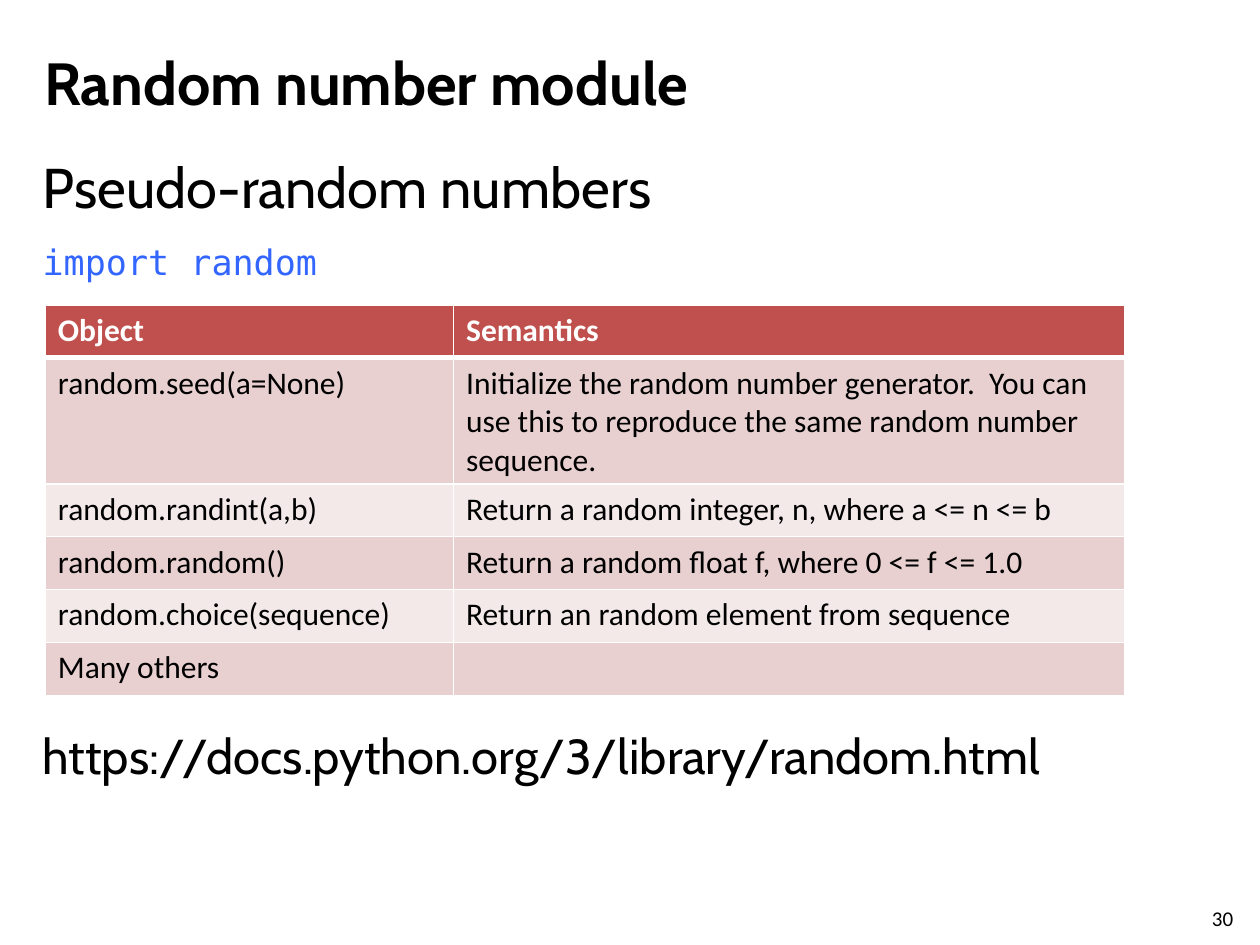
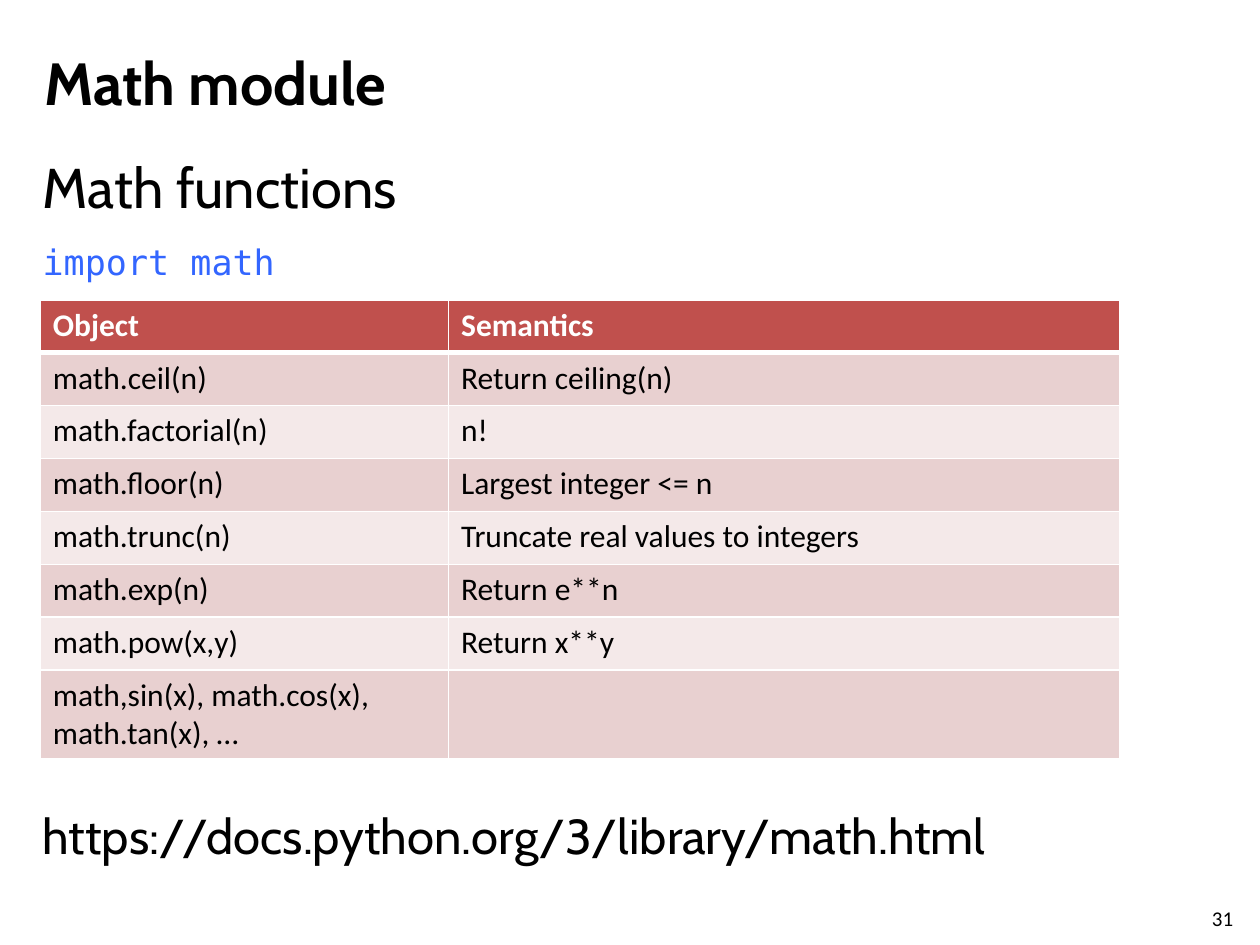
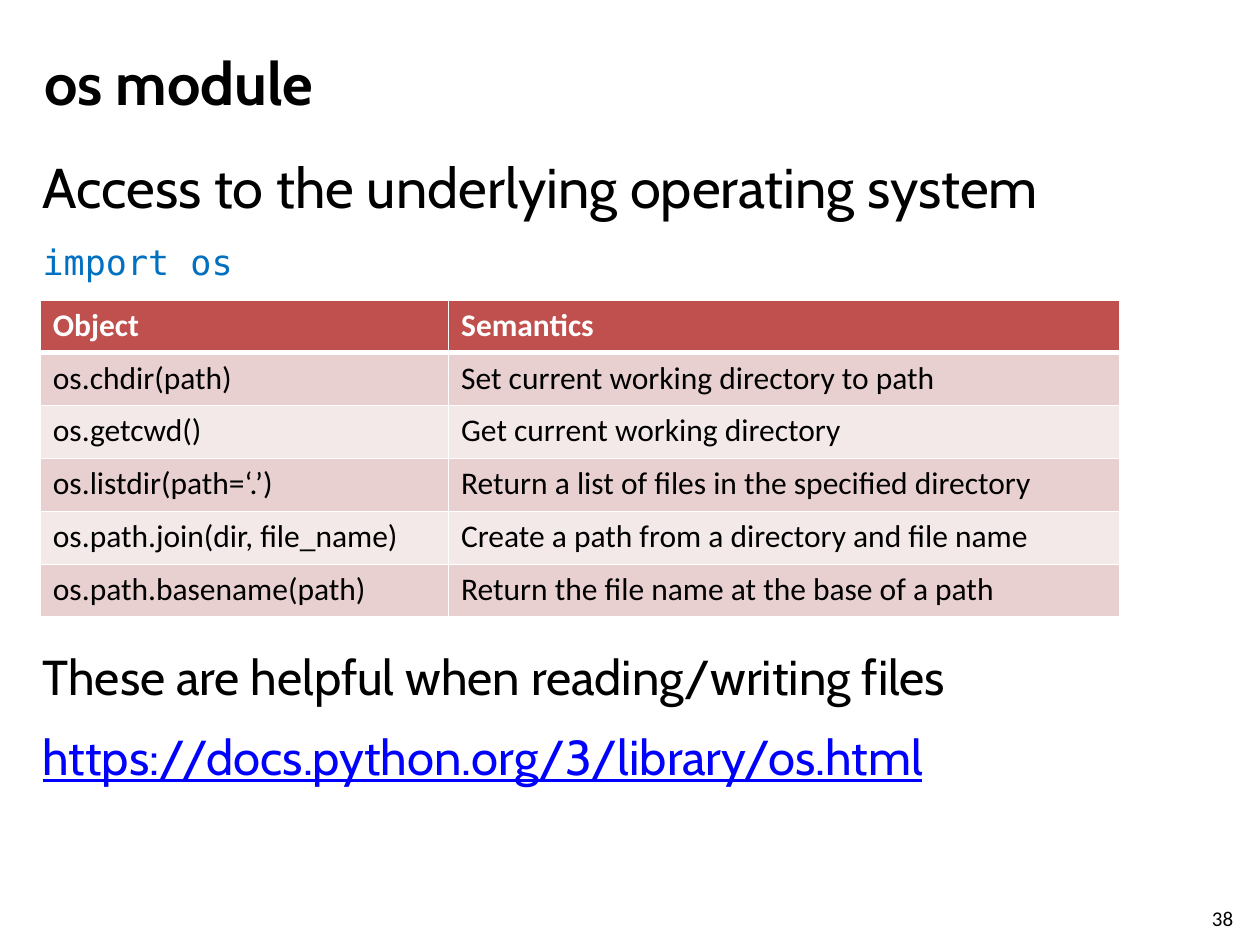
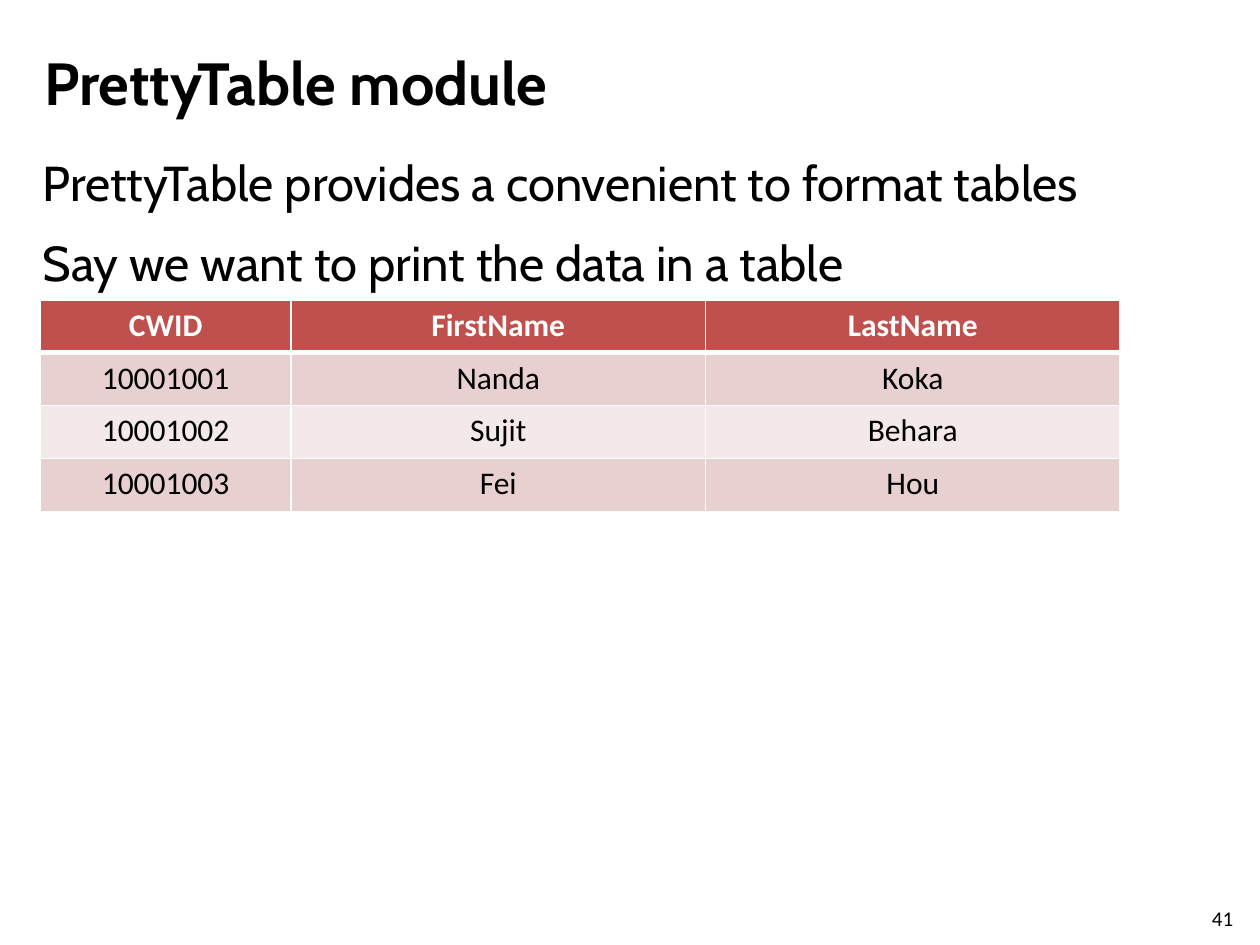
from dataclasses import dataclass

from lxml import etree
from pptx import Presentation
from pptx import util as u
from pptx.dml.color import RGBColor
from pptx.enum import text
from pptx.oxml.ns import qn


@dataclass(frozen=True)
class Theme:
    heading_font: str = "Cabin"
    table_font: str = "Calibri"
    code_font: str = "DejaVu Sans Mono"
    black: str = "000000"
    white: str = "FFFFFF"
    header: str = "C0504D"
    bands: tuple = ("E8D0D0", "F4E9E9")
    bright_blue: str = "3366FF"
    deep_blue: str = "0070C0"
    link: str = "0000FF"
    title_size: int = 34
    lead_size: int = 32
    body_size: int = 28
    code_size: int = 20
    table_size: int = 18
    number_size: int = 12


theme = Theme()


def style(paragraph, name, size, color, bold=False):
    font = paragraph.font
    font.name = name
    font.size = u.Pt(size)
    font.bold = bold
    font.color.rgb = RGBColor.from_string(color)


def add_border(cell, side, width):
    line = etree.SubElement(cell._tc.get_or_add_tcPr(), qn(f"a:{side}"), w=str(u.Pt(width)))
    fill = etree.SubElement(line, qn("a:solidFill"))
    etree.SubElement(fill, qn("a:srgbClr"), val=theme.white)


lead = (theme.heading_font, theme.lead_size, theme.black, 12)
body = (theme.heading_font, theme.body_size, theme.black, 12)
link = (theme.heading_font, theme.body_size, theme.link, 12)
bright_code = (theme.code_font, theme.code_size, theme.bright_blue, 6)
deep_code = (theme.code_font, theme.code_size, theme.deep_blue, 6)
reference_columns = (3.24, 5.33)
people_columns = (1.99, 3.29, 3.29)

pages = [
    {
        "number": 30,
        "title": "Random number module",
        "lines": [
            ("Pseudo-random numbers", lead, 0),
            ("import random", bright_code, 0),
            ("https://docs.python.org/3/library/random.html", body, 247),
        ],
        "corner": (0.36, 2.42),
        "columns": reference_columns,
        "align": text.PP_ALIGN.LEFT,
        "rows": [
            ("Object", "Semantics"),
            ("random.seed(a=None)", "Initialize the random number generator.  You can use this "
                                    "to reproduce the same random number sequence."),
            ("random.randint(a,b)", "Return a random integer, n, where a <= n <= b"),
            ("random.random()", "Return a random float f, where 0 <= f <= 1.0"),
            ("random.choice(sequence)", "Return an random element from sequence"),
            ("Many others", ""),
        ],
    },
    {
        "number": 31,
        "title": "Math module",
        "lines": [
            ("Math functions", lead, 0),
            ("import math", bright_code, 0),
            ("https://docs.python.org/3/library/math.html", body, 293),
        ],
        "corner": (0.32, 2.38),
        "columns": reference_columns,
        "align": text.PP_ALIGN.LEFT,
        "rows": [
            ("Object", "Semantics"),
            ("math.ceil(n)", "Return ceiling(n)"),
            ("math.factorial(n)", "n!"),
            ("math.floor(n)", "Largest integer <= n"),
            ("math.trunc(n)", "Truncate real values to integers"),
            ("math.exp(n)", "Return e**n"),
            ("math.pow(x,y)", "Return x**y"),
            ("math,sin(x), math.cos(x), math.tan(x), …", ""),
        ],
    },
    {
        "number": 38,
        "title": "os module",
        "lines": [
            ("Access to the underlying operating system", lead, 0),
            ("import os", deep_code, 0),
            ("These are helpful when reading/writing files", body, 202),
            ("https://docs.python.org/3/library/os.html", link, 0),
        ],
        "corner": (0.32, 2.38),
        "columns": reference_columns,
        "align": text.PP_ALIGN.LEFT,
        "rows": [
            ("Object", "Semantics"),
            ("os.chdir(path)", "Set current working directory to path"),
            ("os.getcwd()", "Get current working directory"),
            ("os.listdir(path=‘.’)", "Return a list of files in the specified directory"),
            ("os.path.join(dir, file_name)", "Create a path from a directory and file name"),
            ("os.path.basename(path)", "Return the file name at the base of a path"),
        ],
    },
    {
        "number": 41,
        "title": "PrettyTable module",
        "lines": [
            ("PrettyTable provides a convenient to format tables", body, 0),
            ("Say we want to print the data in a table", body, 0),
        ],
        "corner": (0.32, 2.38),
        "columns": people_columns,
        "align": text.PP_ALIGN.CENTER,
        "rows": [
            ("CWID", "FirstName", "LastName"),
            ("10001001", "Nanda", "Koka"),
            ("10001002", "Sujit", "Behara"),
            ("10001003", "Fei", "Hou"),
        ],
    },
]

presentation = Presentation()
presentation.slide_width = u.Inches(10)
presentation.slide_height = u.Inches(7.5)
title_only = presentation.slide_layouts[5]

for page in pages:
    slide = presentation.slides.add_slide(title_only)

    title = slide.shapes.title
    title.left, title.top = u.Inches(0.25), u.Inches(0.3)
    title.width, title.height = u.Inches(8.67), u.Inches(0.7)
    title.text_frame.text = page["title"]
    title.text_frame.auto_size = text.MSO_AUTO_SIZE.NONE
    title.text_frame.vertical_anchor = text.MSO_ANCHOR.MIDDLE
    heading = title.text_frame.paragraphs[0]
    heading.alignment = text.PP_ALIGN.LEFT
    style(heading, theme.heading_font, theme.title_size, theme.black, bold=True)

    content = slide.shapes.add_textbox(u.Inches(0.24), u.Inches(1.16), u.Inches(9.25), u.Inches(5.26))
    frame = content.text_frame
    frame.word_wrap = True
    for index, (words, look, gap) in enumerate(page["lines"]):
        paragraph = frame.add_paragraph() if index else frame.paragraphs[0]
        paragraph.text = words
        name, size, color, after = look
        paragraph.space_after = u.Pt(after)
        if gap:
            paragraph.space_before = u.Pt(gap)
        style(paragraph, name, size, color)
        if look is link:
            paragraph.font.underline = True

    number = slide.shapes.add_textbox(u.Inches(9.52), u.Inches(7.14), u.Inches(0.4), u.Inches(0.24))
    number.text_frame.word_wrap = True
    number.text_frame.text = str(page["number"])
    style(number.text_frame.paragraphs[0], theme.table_font, theme.number_size, theme.black)

    rows, columns = page["rows"], page["columns"]
    left, top = page["corner"]
    table = slide.shapes.add_table(
        len(rows), len(columns), u.Inches(left), u.Inches(top),
        u.Inches(sum(columns)), u.Inches(0.42) * len(rows),
    ).table
    for column, width in zip(table.columns, columns):
        column.width = u.Inches(width)
    for row_index, row in enumerate(rows):
        is_header = row_index == 0
        fill = theme.header if is_header else theme.bands[(row_index - 1) % 2]
        borders = {
            "lnL": 1,
            "lnR": 1,
            "lnT": 3 if row_index == 1 else 1,
            "lnB": 3 if is_header else 1,
        }
        for column_index, words in enumerate(row):
            cell = table.cell(row_index, column_index)
            for side, width in borders.items():
                add_border(cell, side, width)
            cell.fill.solid()
            cell.fill.fore_color.rgb = RGBColor.from_string(fill)
            if words:
                cell.text = words
                paragraph = cell.text_frame.paragraphs[0]
                paragraph.alignment = page["align"]
                style(paragraph, theme.table_font, theme.table_size,
                      theme.white if is_header else theme.black, bold=is_header)

presentation.save("out.pptx")
